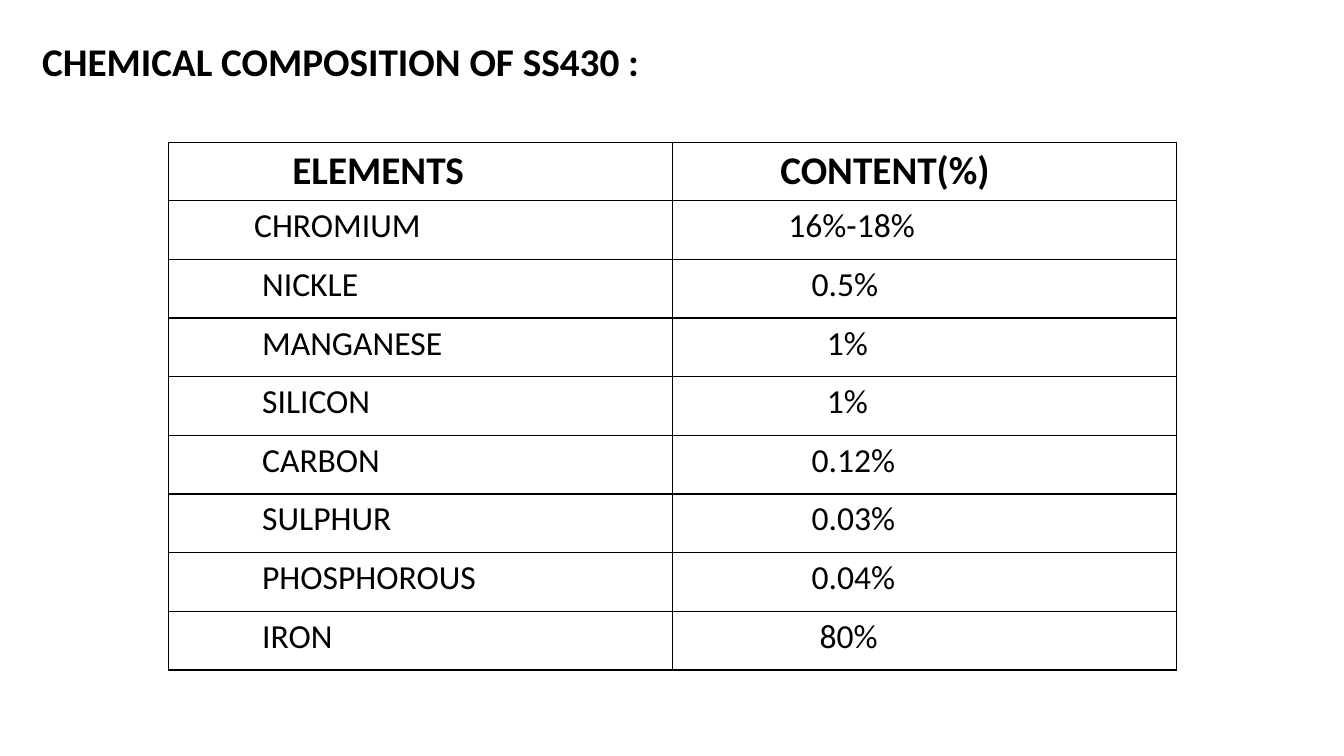
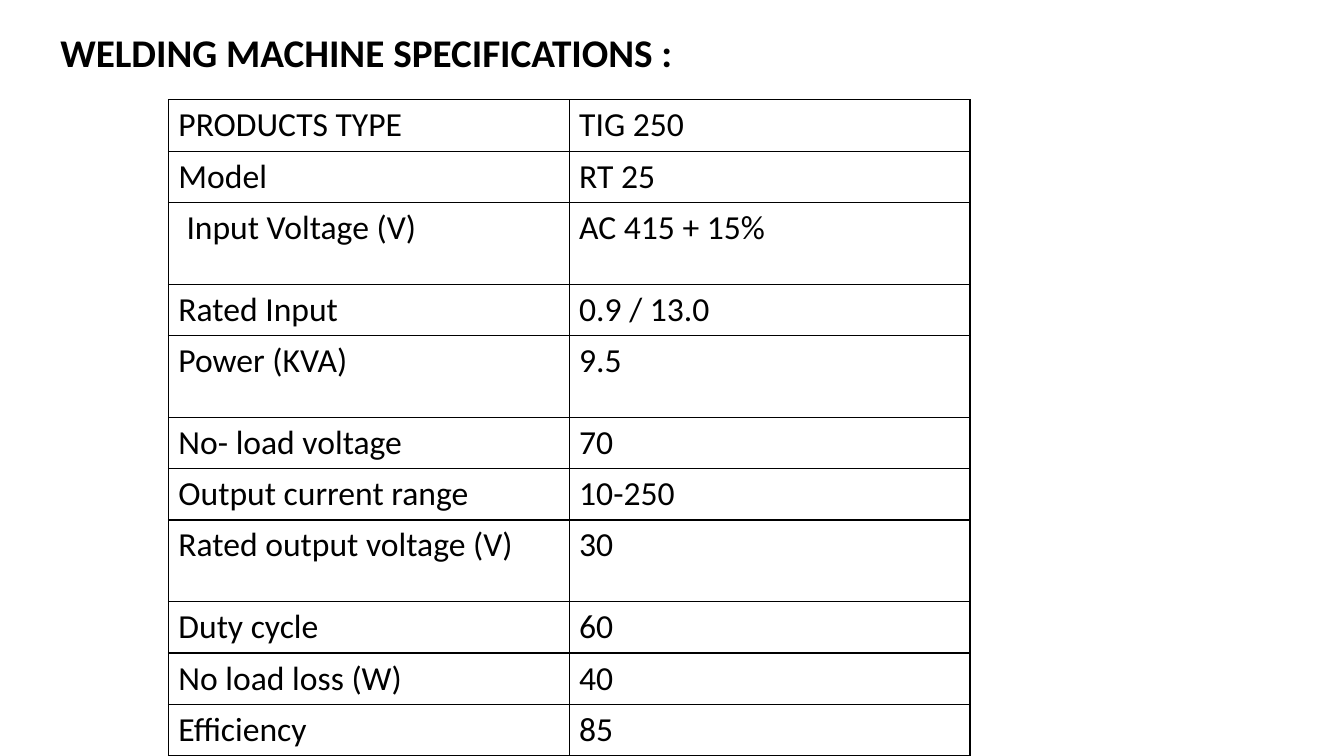
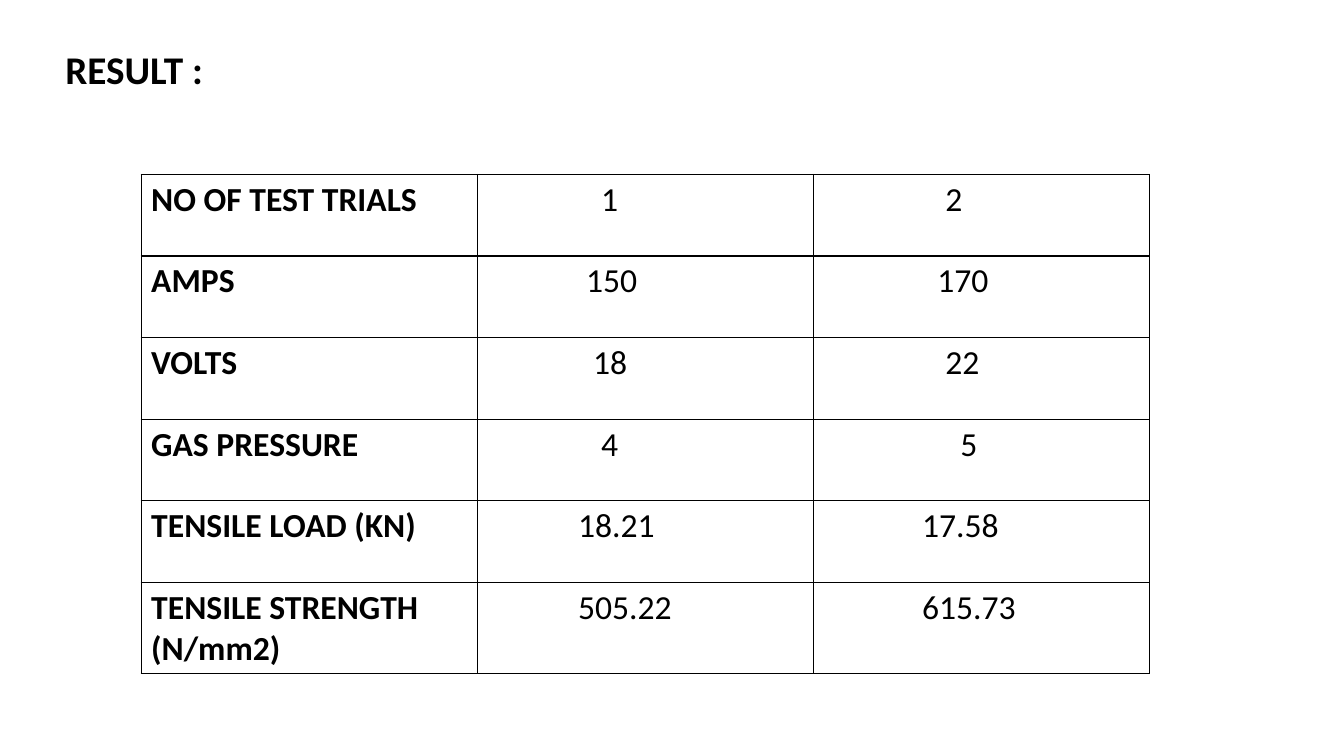
from lxml import etree
from pptx import Presentation
from pptx.dml.color import RGBColor
from pptx.enum import text
from pptx.oxml import ns
from pptx.util import Inches, Pt

BLACK = RGBColor(0x00, 0x00, 0x00)
FONT = "Calibri"
TITLE_SIZE = 28
BODY_SIZE = 24
CELL_MARGIN = 0.1
BORDER_WIDTH = Pt(1)

COMPOSITION = [
    ("CHROMIUM", 0.75, "16%-18%", 1.05),
    ("NICKLE", 0.83, "0.5%", 1.28),
    ("MANGANESE", 0.83, "1%", 1.43),
    ("SILICON", 0.83, "1%", 1.43),
    ("CARBON", 0.83, "0.12%", 1.28),
    ("SULPHUR", 0.83, "0.03%", 1.28),
    ("PHOSPHOROUS", 0.83, "0.04%", 1.28),
    ("IRON", 0.83, "80%", 1.36),
]

SHORT_ROW, TALL_ROW = 0.51, 0.81
SPECIFICATIONS = [
    ("PRODUCTS TYPE", 0, "TIG 250", SHORT_ROW),
    ("Model", 0, "RT 25", SHORT_ROW),
    ("Input Voltage (V)", 0.08, "AC 415 + 15%", TALL_ROW),
    ("Rated Input", 0, "0.9 / 13.0", SHORT_ROW),
    ("Power (KVA)", 0, "9.5", TALL_ROW),
    ("No- load voltage", 0, "70", SHORT_ROW),
    ("Output current range", 0, "10-250", SHORT_ROW),
    ("Rated output voltage (V)", 0, "30", TALL_ROW),
    ("Duty cycle", 0, "60", SHORT_ROW),
    ("No load loss (W)", 0, "40", SHORT_ROW),
    ("Efficiency", 0, "85", SHORT_ROW),
]

RESULTS = [
    ("NO OF TEST TRIALS", "1", 1.13, "2", 1.21),
    ("AMPS", "150", 0.98, "170", 1.13),
    ("VOLTS", "18", 1.05, "22", 1.21),
    ("GAS PRESSURE", "4", 1.13, "5", 1.36),
    ("TENSILE LOAD (KN)", "18.21", 0.9, "17.58", 0.98),
    ("TENSILE STRENGTH\n(N/mm2)", "505.22", 0.9, "615.73", 0.98),
]


def write_text(frame, content, size, bold):
    for index, line in enumerate(content.split("\n")):
        paragraph = frame.add_paragraph() if index else frame.paragraphs[0]
        run = paragraph.add_run()
        run.text = line
        run.font.name = FONT
        run.font.size = Pt(size)
        run.font.bold = bold
        run.font.color.rgb = BLACK


def add_title(slide, content, left, top, width):
    frame = slide.shapes.add_textbox(
        Inches(left), Inches(top), Inches(width), Inches(0.56)).text_frame
    frame.word_wrap = True
    frame.auto_size = text.MSO_AUTO_SIZE.SHAPE_TO_FIT_TEXT
    write_text(frame, content, TITLE_SIZE, True)


def add_borders(cell):
    properties = cell._tc.get_or_add_tcPr()
    for side in ("a:lnL", "a:lnR", "a:lnT", "a:lnB"):
        line = etree.SubElement(properties, ns.qn(side), w=str(BORDER_WIDTH))
        fill = etree.SubElement(line, ns.qn("a:solidFill"))
        etree.SubElement(fill, ns.qn("a:srgbClr"), val=str(BLACK))


def fill_cell(cell, content, indent=0, bold=False, size=BODY_SIZE):
    cell.margin_left = Inches(CELL_MARGIN + indent)
    add_borders(cell)
    cell.fill.background()
    write_text(cell.text_frame, content, size, bold)


def add_grid(slide, left, top, width, columns, heights, rows):
    table = slide.shapes.add_table(
        len(rows), columns, Inches(left), Inches(top),
        Inches(width), Inches(sum(heights))).table
    table.first_row = False
    table.horz_banding = False
    for row, height in zip(table.rows, heights):
        row.height = Inches(height)
    for row, contents in zip(table.rows, rows):
        for cell, arguments in zip(row.cells, contents):
            fill_cell(cell, *arguments)


def add_composition(slide):
    add_title(slide, "CHEMICAL COMPOSITION OF SS430 :", 0.32, 0.32, 7.06)
    header = [("ELEMENTS", 1.13, True, TITLE_SIZE),
              ("CONTENT(%)", 0.97, True, TITLE_SIZE)]
    rows = [header] + [
        [(element, indent), (share, share_indent)]
        for element, indent, share, share_indent in COMPOSITION]
    add_grid(slide, 1.67, 1.41, 10, 2, [5.24 / len(rows)] * len(rows), rows)


def add_specifications(slide):
    rows = [[(label, indent), (value,)]
            for label, indent, value, height in SPECIFICATIONS]
    heights = [height for label, indent, value, height in SPECIFICATIONS]
    add_grid(slide, 1.67, 0.99, 7.95, 2, heights, rows)
    add_title(slide, "WELDING MACHINE SPECIFICATIONS :", 0.5, 0.23, 8.2)


def add_results(slide):
    add_title(slide, "RESULT :", 0.55, 0.4, 4.37)
    rows = [[(label, 0, True), (first, first_indent), (second, second_indent)]
            for label, first, first_indent, second, second_indent in RESULTS]
    add_grid(slide, 1.4, 1.73, 10, 3, [0.81] * len(rows), rows)


def main():
    presentation = Presentation()
    presentation.slide_width = Inches(13.33)
    presentation.slide_height = Inches(7.5)
    blank = presentation.slide_layouts[6]
    for build in (add_composition, add_specifications, add_results):
        build(presentation.slides.add_slide(blank))
    presentation.save("out.pptx")


if __name__ == "__main__":
    main()
